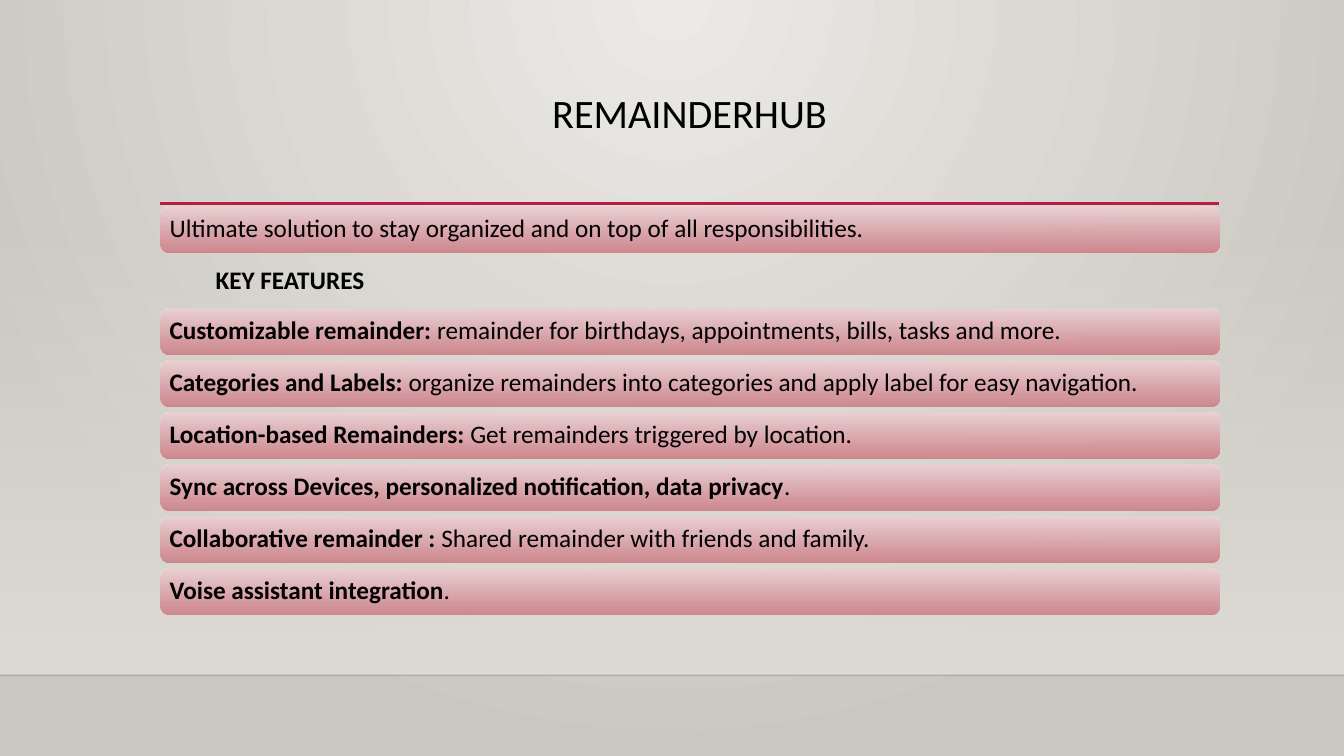
from lxml.etree import SubElement
from pptx import Presentation
from pptx.dml.color import RGBColor
from pptx.enum.shapes import MSO_CONNECTOR as Connector, MSO_SHAPE as Shape
from pptx.enum.text import MSO_ANCHOR as Anchor, PP_ALIGN as Align
from pptx.oxml.ns import qn
from pptx.util import Inches, Pt

BLACK = RGBColor(0x00, 0x00, 0x00)
CRIMSON = RGBColor(0xB7, 0x1E, 0x42)
ROSE_LIGHT = RGBColor(0xEA, 0xD1, 0xD3)
ROSE_DARK = RGBColor(0xCD, 0x82, 0x8A)
STONE_LIGHT = RGBColor(0xEC, 0xEA, 0xE7)
STONE_DARK = RGBColor(0xCA, 0xC7, 0xC1)
SAND = RGBColor(0xDF, 0xDB, 0xD5)

# Positions and sizes are percentages of the slide's width and height.
LEFT, WIDTH = 11.93, 78.77
TITLE_TOP, TITLE_HEIGHT = 11.73, 12.4
RULE_TOP = 26.93
PANEL_TOP, FLOOR_TOP = 29.47, 89.33
INTRO_TOP, FEATURES_TOP = 27.33, 40.8
ROW_PITCH, BAR_HEIGHT = 6.88, 6.13

INTRO = [("Ultimate solution to stay organized and on top of all responsibilities.", False)]
FEATURES = [
    ("Customizable remainder: ", "remainder for birthdays, appointments, bills, tasks and more."),
    ("Categories and Labels: ", "organize remainders into categories and apply label for easy navigation."),
    ("Location-based Remainders: ", "Get remainders triggered by location."),
    ("Sync across Devices, personalized notification, data privacy", "."),
    ("Collaborative remainder : ", "Shared remainder with friends and family."),
    ("Voise assistant integration", "."),
]


class SlideBuilder:
    """Holds the text style and the slide being filled."""

    font_name = "Calibri"
    body_size = Pt(18)

    def __init__(self, presentation):
        self.width = presentation.slide_width
        self.height = presentation.slide_height
        self.slide = presentation.slides.add_slide(presentation.slide_layouts[5])

    def x(self, percent):
        return round(self.width * percent / 100)

    def y(self, percent):
        return round(self.height * percent / 100)

    def box(self, left, top, width, height):
        return self.x(left), self.y(top), self.x(width), self.y(height)

    def set_alpha(self, element, color, percent):
        """Set the opacity of the first colour element that holds this RGB value."""
        for color_element in element.iter(qn("a:srgbClr")):
            if color_element.get("val") == str(color):
                SubElement(color_element, qn("a:alpha")).set("val", str(percent * 1000))
                break

    def gradient(self, fill, start, end):
        fill.gradient()
        fill.gradient_angle = 270
        for stop, position, color in zip(fill.gradient_stops, (0, 1), (start, end)):
            stop.position = position
            stop.color.rgb = color

    def background(self, start, end):
        """Paint a gradient that spreads in circles from the top centre."""
        self.gradient(self.slide.background.fill, start, end)
        gradient = self.slide.element.find(".//" + qn("a:gradFill"))
        gradient.remove(gradient.find(qn("a:lin")))
        circle = SubElement(gradient, qn("a:path"))
        circle.set("path", "circle")
        center = SubElement(circle, qn("a:fillToRect"))
        for side, share in (("l", 43), ("t", 0), ("r", 43), ("b", 100)):
            center.set(side, str(share * 1000))

    def add_runs(self, frame, runs, size):
        paragraph = frame.paragraphs[0]
        for text, bold in runs:
            run = paragraph.add_run()
            run.text = text
            run.font.name = self.font_name
            run.font.size = size
            run.font.bold = bold
            run.font.color.rgb = BLACK
        return paragraph

    def title(self, text, left, top, width, height):
        title = self.slide.shapes.title
        title.left, title.top, title.width, title.height = self.box(left, top, width, height)
        title.text_frame.vertical_anchor = Anchor.TOP
        paragraph = self.add_runs(title.text_frame, [(text, False)], Pt(28.8))
        paragraph.alignment = Align.CENTER
        paragraph.line_spacing = 0.9

    def block(self, kind, bounds, start, end, start_alpha=100, end_alpha=100):
        shape = self.slide.shapes.add_shape(kind, *self.box(*bounds))
        shape.shadow.inherit = False
        shape.line.fill.background()
        self.gradient(shape.fill, start, end)
        for color, alpha in ((start, start_alpha), (end, end_alpha)):
            if alpha < 100:
                self.set_alpha(shape.element, color, alpha)
        return shape

    def bar(self, runs, top):
        bounds = (LEFT, top, WIDTH, BAR_HEIGHT)
        bar = self.block(Shape.ROUNDED_RECTANGLE, bounds, ROSE_LIGHT, ROSE_DARK, end_alpha=92)
        frame = bar.text_frame
        frame.word_wrap = True
        frame.vertical_anchor = Anchor.MIDDLE
        frame.margin_left = frame.margin_right = Inches(0.07)
        frame.margin_top = frame.margin_bottom = 0
        paragraph = self.add_runs(frame, runs, self.body_size)
        paragraph.alignment = Align.LEFT
        paragraph.line_spacing = 0.9

    def label(self, text, left, top, width, height):
        label = self.slide.shapes.add_textbox(*self.box(left, top, width, height))
        label.text_frame.word_wrap = True
        self.add_runs(label.text_frame, [(text, True)], self.body_size)

    def rule(self, left, right, top, color, weight, alpha=100):
        rule = self.slide.shapes.add_connector(
            Connector.STRAIGHT, self.x(left), self.y(top), self.x(right), self.y(top))
        rule.line.color.rgb = color
        rule.line.width = Pt(weight)
        if alpha < 100:
            self.set_alpha(rule.element, color, alpha)
        SubElement(rule.element.spPr, qn("a:effectLst"))


def main():
    presentation = Presentation()
    presentation.slide_width = Inches(13.33)
    presentation.slide_height = Inches(7.5)
    builder = SlideBuilder(presentation)

    builder.background(STONE_LIGHT, STONE_DARK)
    panel = (0, PANEL_TOP, 100, FLOOR_TOP - PANEL_TOP)
    builder.block(Shape.RECTANGLE, panel, SAND, SAND, start_alpha=0)
    builder.rule(0, 100, FLOOR_TOP, BLACK, 1, alpha=20)
    builder.rule(LEFT, LEFT + WIDTH, RULE_TOP, CRIMSON, 2.5)
    builder.title("REMAINDERHUB", LEFT, TITLE_TOP, WIDTH, TITLE_HEIGHT)

    builder.bar(INTRO, INTRO_TOP)
    builder.label("KEY FEATURES", 15.3, 34.27, 23.63, 5.33)
    for row, (name, detail) in enumerate(FEATURES):
        builder.bar([(name, True), (detail, False)], FEATURES_TOP + row * ROW_PITCH)

    presentation.save("out.pptx")


if __name__ == "__main__":
    main()
